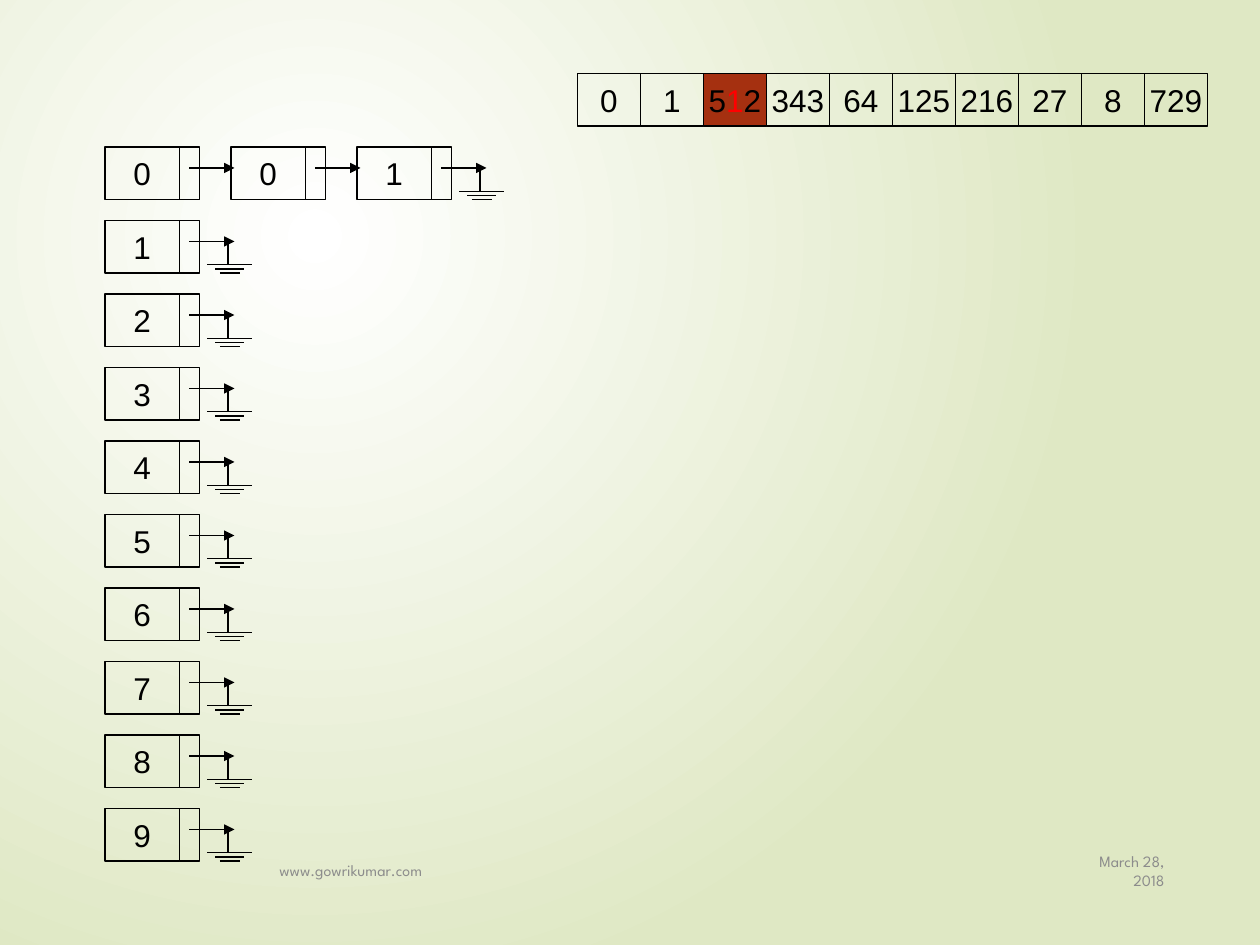
import pptx
import pptx.dml.color
import pptx.enum.shapes
import pptx.enum.text
import pptx.oxml
import pptx.oxml.ns
import pptx.util

Pt = pptx.util.Pt
RGBColor = pptx.dml.color.RGBColor
PP_ALIGN = pptx.enum.text.PP_ALIGN
MIDDLE = pptx.enum.text.MSO_ANCHOR.MIDDLE
RECTANGLE = pptx.enum.shapes.MSO_SHAPE.RECTANGLE
STRAIGHT = pptx.enum.shapes.MSO_CONNECTOR.STRAIGHT
qn = pptx.oxml.ns.qn
DRAWING = pptx.oxml.ns.nsdecls("a")

BLACK = RGBColor(0x00, 0x00, 0x00)
WHITE = RGBColor(0xFF, 0xFF, 0xFF)
PALE_GREEN = RGBColor(0xDF, 0xE8, 0xC4)
RUST = RGBColor(0xA5, 0x30, 0x10)
RED = RGBColor(0xFF, 0x00, 0x00)
GREY = RGBColor(0x8C, 0x8C, 0x8C)

NUMBERS = ["0", "1", "512", "343", "64", "125", "216", "27", "8", "729"]
CURRENT = "512"
CURRENT_DIGIT = 1
BUCKETS = [["0", "1"], [], [], [], [], [], [], [], [], []]
FOOTERS = [
    ("March 28, 2018", 612, 60.5, PP_ALIGN.RIGHT),
    ("www.gowrikumar.com", 152.6, 450, PP_ALIGN.LEFT),
]

ARRAY_LEFT, ARRAY_TOP, CELL_WIDTH = 330, 42, 36
BOX_HEIGHT = 30
LIST_LEFT, LIST_TOP = 60, 84
NODE_PITCH, BUCKET_PITCH = 72, 42
VALUE_WIDTH, LINK_WIDTH = 42.5, 11.5
ARROW_START, ARROW_END, ARROW_Y = 48, 74, 12
GROUND_X = 70.3
GROUND_CENTRE = 71.3
GROUND_BARS = [(25.8, 25.3), (11.4, 30), (16.6, 27.7)]


def add_box(shapes, left, top, width, value=""):
    box = shapes.add_shape(RECTANGLE, Pt(left), Pt(top), Pt(width), Pt(BOX_HEIGHT))
    box.shadow.inherit = False
    box.fill.background()
    box.line.color.rgb = BLACK
    box.line.width = Pt(0.75)
    frame = box.text_frame
    frame.word_wrap = False
    frame.vertical_anchor = MIDDLE
    paragraph = frame.paragraphs[0]
    paragraph.alignment = PP_ALIGN.CENTER
    parts = list(value) if value == CURRENT else [value] if value else []
    for index, part in enumerate(parts):
        run = paragraph.add_run()
        run.text = part
        run.font.name = "Arial"
        run.font.size = Pt(18)
        marked = value == CURRENT and index == CURRENT_DIGIT
        run.font.color.rgb = RED if marked else BLACK
    return box


def add_line(shapes, x1, y1, x2, y2, arrow=False):
    line = shapes.add_connector(STRAIGHT, Pt(x1), Pt(y1), Pt(x2), Pt(y2))
    line.line.color.rgb = BLACK
    line.line.width = Pt(0.75)
    if arrow:
        line.line._get_or_add_ln().append(
            pptx.oxml.parse_xml(f'<a:tailEnd {DRAWING} type="triangle"/>'))
    line._element.spPr.append(pptx.oxml.parse_xml(f"<a:effectLst {DRAWING}/>"))


def add_node(slide, left, top, value, last):
    shapes = slide.shapes.add_group_shape().shapes
    add_box(shapes, left, top, VALUE_WIDTH, value)
    add_box(shapes, left + VALUE_WIDTH, top, LINK_WIDTH)
    arrow_y = top + ARROW_Y
    add_line(shapes, left + ARROW_START, arrow_y, left + ARROW_END, arrow_y, arrow=True)
    if last:
        centre = left + GROUND_CENTRE
        for width, drop in GROUND_BARS:
            add_line(shapes, centre - width / 2, top + drop, centre + width / 2, top + drop)
        stem = left + GROUND_X
        add_line(shapes, stem, top + GROUND_BARS[0][1], stem, arrow_y)


def paint_background(slide):
    fill = slide.background.fill
    fill.gradient()
    for stop, color in zip(fill.gradient_stops, (WHITE, PALE_GREEN)):
        stop.color.rgb = color
    gradient = slide._element.find(".//" + qn("a:gradFill"))
    gradient.remove(gradient.find(qn("a:lin")))
    gradient.append(pptx.oxml.parse_xml(
        f'<a:path {DRAWING} path="circle">'
        '<a:fillToRect l="50000" t="50000" r="100000" b="100000"/></a:path>'))


def add_footer(slide, text, left, width, alignment):
    footer = slide.shapes.add_textbox(Pt(left), Pt(483), Pt(width), Pt(28.8))
    frame = footer.text_frame
    frame.word_wrap = True
    frame.vertical_anchor = MIDDLE
    frame.text = text
    paragraph = frame.paragraphs[0]
    paragraph.alignment = alignment
    font = paragraph.runs[0].font
    font.name = "League Spartan"
    font.size = Pt(9)
    font.color.rgb = GREY


def main():
    deck = pptx.Presentation()
    deck.slide_width, deck.slide_height = Pt(720), Pt(540)
    slide = deck.slides.add_slide(deck.slide_layouts[6])
    paint_background(slide)

    for footer in FOOTERS:
        add_footer(slide, *footer)

    for column, number in enumerate(NUMBERS):
        cell = add_box(slide.shapes, ARRAY_LEFT + column * CELL_WIDTH, ARRAY_TOP,
                       CELL_WIDTH, number)
        if number == CURRENT:
            cell.fill.solid()
            cell.fill.fore_color.rgb = RUST

    for digit, bucket in enumerate(BUCKETS):
        chain = [str(digit)] + bucket
        for position, value in enumerate(chain):
            add_node(slide, LIST_LEFT + position * NODE_PITCH,
                     LIST_TOP + digit * BUCKET_PITCH, value,
                     last=position == len(chain) - 1)

    deck.save("out.pptx")


if __name__ == "__main__":
    main()
